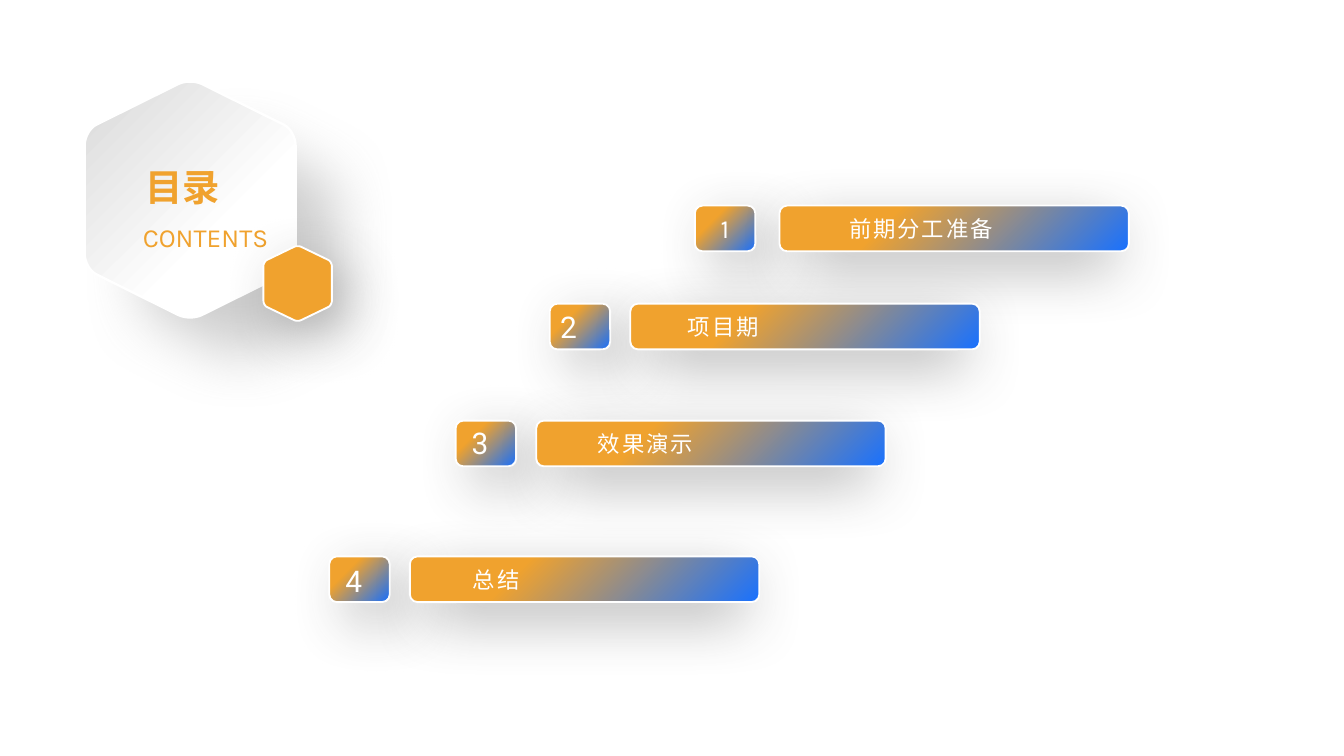
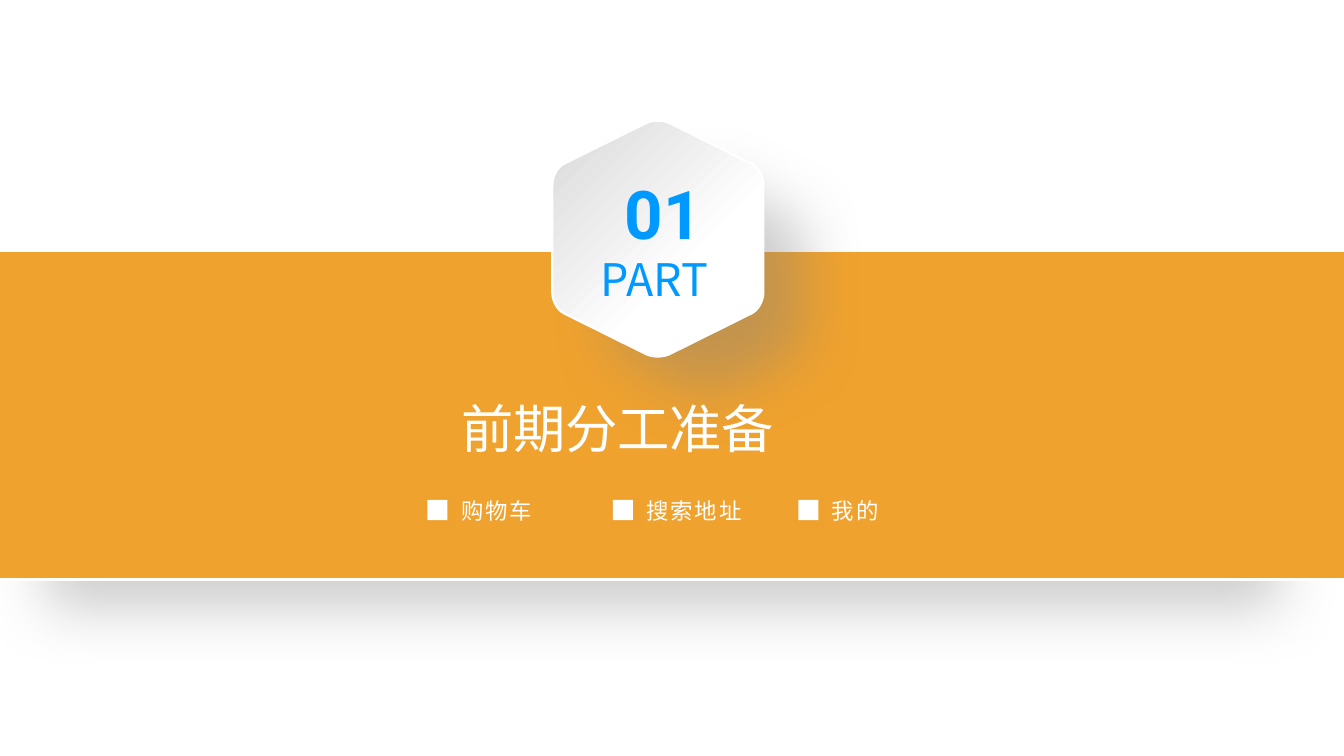
from lxml import etree
from pptx import Presentation
from pptx import util as u
from pptx.dml.color import RGBColor
from pptx.enum import shapes, text
from pptx.oxml.ns import qn

HUES = {
    "white": "FFFFFF",
    "gold": "F0A22E",
    "blue": "1971FF",
    "sky": "0099FF",
    "silver": "D9D9D9",
    "dark": "404040",
    "gray": "808080",
}
BAR = ("gold", 31, "blue", 45)
PEARL = ("white", 36, "silver", 225)
NEAR = ("dark", 33, 15)
FAR = ("gray", 33, 45)
FAINT = ("gold", 4, 3)
MAIN, DIGIT, HAN = "Karla", "Roboto", "Noto Sans CJK SC"
RECT = shapes.MSO_SHAPE.RECTANGLE
ROUND = shapes.MSO_SHAPE.ROUNDED_RECTANGLE
TOP, MID = text.MSO_ANCHOR.TOP, text.MSO_ANCHOR.MIDDLE
LEFT, CENTER = text.PP_ALIGN.LEFT, text.PP_ALIGN.CENTER
HEX = [(0.5, -0.01), (1, 0.21), (1, 0.79), (0.5, 1.01), (0, 0.79), (0, 0.21)]


def rgb(name):
    return RGBColor.from_string(HUES[name])


def inches(*sizes):
    return [u.Inches(size) for size in sizes]


def cast(shape, hue, blur, dist):
    shape.shadow.inherit = False
    effects = shape._element.spPr.find(qn("a:effectLst"))
    outer = etree.SubElement(
        effects, qn("a:outerShdw"), blurRad=str(u.Pt(blur)),
        dist=str(u.Pt(dist)), dir="2700000", sx="90000", sy="90000",
        algn="tl", rotWithShape="0")
    color = etree.SubElement(outer, qn("a:srgbClr"), val=HUES[hue])
    etree.SubElement(color, qn("a:alpha"), val="40000")


def paint(shape, fill, shade, line=None):
    if isinstance(fill, str):
        shape.fill.solid()
        shape.fill.fore_color.rgb = rgb(fill)
    else:
        start, stop, end, angle = fill
        shape.fill.gradient()
        shape.fill.gradient_angle = 360 - angle
        for mark, hue, place in zip(shape.fill.gradient_stops, (start, end), (stop, 100)):
            mark.color.rgb = rgb(hue)
            mark.position = place / 100
    if line:
        shape.line.color.rgb = rgb("white")
        shape.line.width = u.Pt(line)
    else:
        shape.line.fill.background()
    cast(shape, *shade)


def write(shape, words, size, face, hue, bold=False, space=0, align=LEFT,
          anchor=TOP, pads=(0.1, 0.05), grow=True):
    frame = shape.text_frame
    frame.word_wrap = True
    kind = text.MSO_AUTO_SIZE
    frame.auto_size = kind.SHAPE_TO_FIT_TEXT if grow else kind.NONE
    frame.vertical_anchor = anchor
    frame.margin_left, frame.margin_top = inches(*pads)
    frame.margin_right, frame.margin_bottom = inches(0.1, 0.05)
    frame.text = words
    par = frame.paragraphs[0]
    par.alignment = align
    font = par.font
    font.size = u.Pt(size)
    font.name = face
    font.bold = bold
    font.color.rgb = rgb(hue)
    if space:
        font._element.set("spc", str(space * 100))


def label(slide, box, *args, **style):
    write(slide.shapes.add_textbox(*inches(*box)), *args, **style)


def block(slide, kind, box, fill, shade, line=None):
    shape = slide.shapes.add_shape(kind, *inches(*box))
    paint(shape, fill, shade, line)
    return shape


def head(slide, box, *args, **style):
    title = slide.shapes.title
    title.left, title.top, title.width, title.height = inches(*box)
    write(title, *args, **style)
    slide.shapes._spTree.append(title._element)


def toward(a, b, part):
    return tuple(m + (n - m) * part for m, n in zip(a, b))


def corner(a, tip, b, steps=8):
    ends = toward(tip, a, 0.11), toward(tip, b, 0.11)
    grips = [toward(end, tip, 0.55) for end in ends]
    for step in range(steps + 1):
        t = step / steps
        left = toward(ends[0], grips[0], t)
        core = toward(grips[0], grips[1], t)
        right = toward(grips[1], ends[1], t)
        yield toward(toward(left, core, t), toward(core, right, t), t)


def hexa(slide, box, fill, shade, line):
    x, y, w, h = inches(*box)
    dots = [(round(x + w * px), round(y + h * py))
            for i, tip in enumerate(HEX)
            for px, py in corner(HEX[i - 1], tip, HEX[(i + 1) % 6])]
    path = slide.shapes.build_freeform(*dots[0], scale=1.0)
    path.add_line_segments(dots[1:], close=True)
    paint(path.convert_to_shape(), fill, shade, line)


def badge(slide, x, y):
    hexa(slide, (x, y, 1.57, 1.77), PEARL, FAR, 1.25)


def entry(slide, x, y, gap, digit, words, inset, shift):
    chip = block(slide, ROUND, (x, y, 0.45, 0.34), BAR, NEAR, 1)
    block(slide, ROUND, (x + gap, y, 2.6, 0.34), BAR, NEAR, 1)
    label(slide, (x + gap + inset, y + 0.02, 1.72, 0.3), words, 12, MAIN, "white", space=1)
    if shift:
        dx, dy, pad = shift
        label(slide, (x + dx, y + dy, 0.49, 0.37), digit, 16, DIGIT, "white", pads=(pad, 0.05))
    else:
        write(chip, digit, 14, MAIN, "white", align=CENTER, anchor=MID,
              pads=(0.1, 0.04), grow=False)


def cover(slide, x, y):
    badge(slide, x, y)
    head(slide, (x + 0.26, y + 0.57, 0.94, 0.44), "目录", 20, MAIN, "gold",
         bold=True, align=CENTER, anchor=MID, grow=False)
    label(slide, (x + 0.22, y + 0.93, 1.36, 0.71), "CONTENTS", 14, MAIN, "gold",
          align=CENTER, pads=(0.1, 0.12), grow=False)
    hexa(slide, (x + 1.33, y + 1.23, 0.51, 0.56), "gold", NEAR, 1)


def contents(slide):
    cover(slide, 0.63, 0.6)
    rows = [
        (5.17, 1.53, 0.63, "前期分工准备", 0.42, None),
        (4.09, 2.26, 0.6, "项目期", 0.33, (-0.02, -0.01, 0.1)),
        (3.39, 3.13, 0.6, "效果演示", 0.36, (-0.04, -0.02, 0.16)),
        (2.45, 4.14, 0.6, "总结", 0.37, (-0.04, 0, 0.16)),
    ]
    for i, (x, y, gap, words, inset, shift) in enumerate(rows, 1):
        entry(slide, x, y, gap, str(i), words, inset, shift)


def number(slide, x, y, digits):
    badge(slide, x, y)
    label(slide, (x + 0.44, y + 0.34, 0.81, 0.71), digits, 36, DIGIT, "sky", bold=True)
    label(slide, (x + 0.26, y + 0.82, 1.38, 0.64), "PART", 24, HAN, "sky",
          pads=(0.1, 0.16), grow=False)


def topics(slide, x, y, names):
    for i, name in enumerate(names):
        left = x + 1.38 * i
        label(slide, (left + 0.11, y - 0.07, 1.09, 0.29), name, 12, HAN, "white",
              space=1, pads=(0.14, 0.05))
        block(slide, RECT, (left, y, 0.15, 0.15), "white", FAINT)


def part(slide, digits, name, names):
    block(slide, RECT, (-0.09, 1.86, 10.17, 2.45), "gold", FAR, 1.75)
    number(slide, 4.11, 0.89, digits)
    head(slide, (3.34, 2.9, 3.35, 0.56), name, 28, HAN, "white", pads=(0.09, 0.05))
    topics(slide, 3.18, 3.72, names)


def main():
    deck = Presentation()
    deck.slide_width, deck.slide_height = inches(10, 10 * 9 / 16)
    plain = deck.slide_layouts[5]
    contents(deck.slides.add_slide(plain))
    part(deck.slides.add_slide(plain), "01", "前期分工准备", ["购物车", "搜索地址", "我的"])
    deck.save("out.pptx")


if __name__ == "__main__":
    main()
